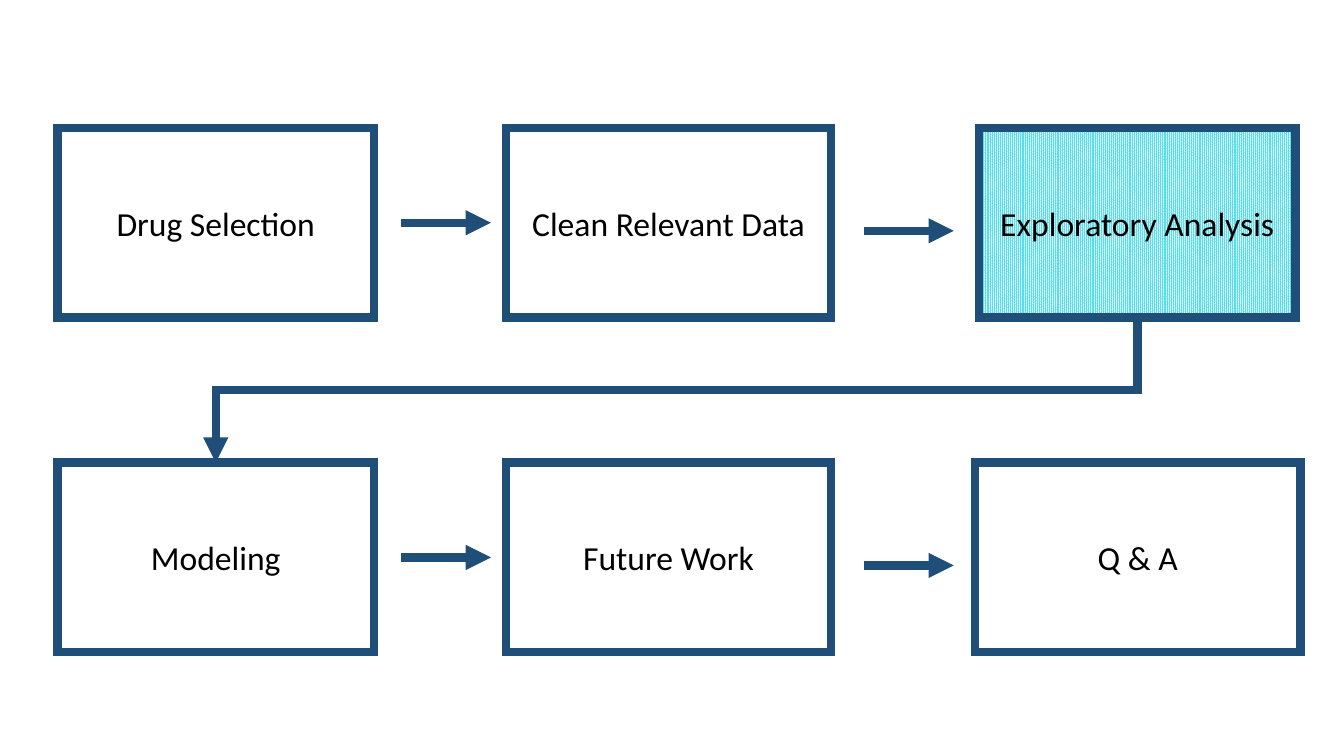
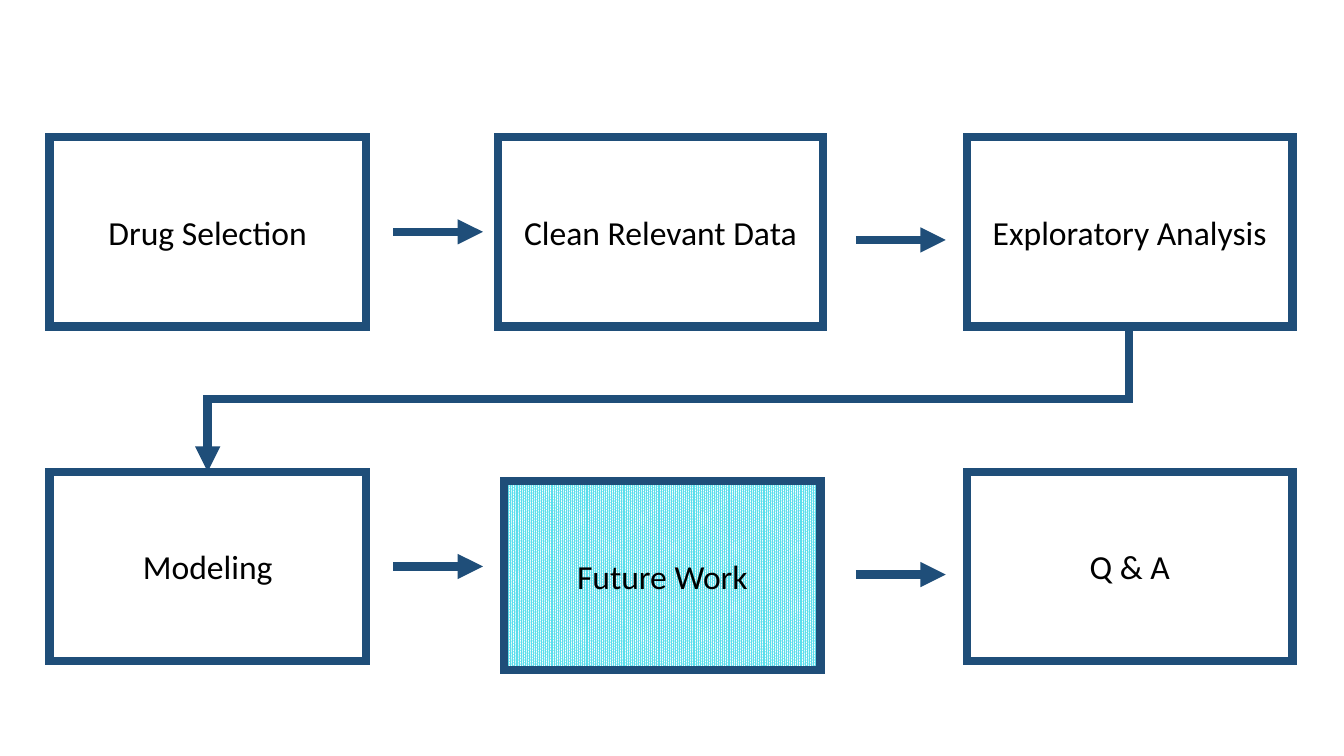
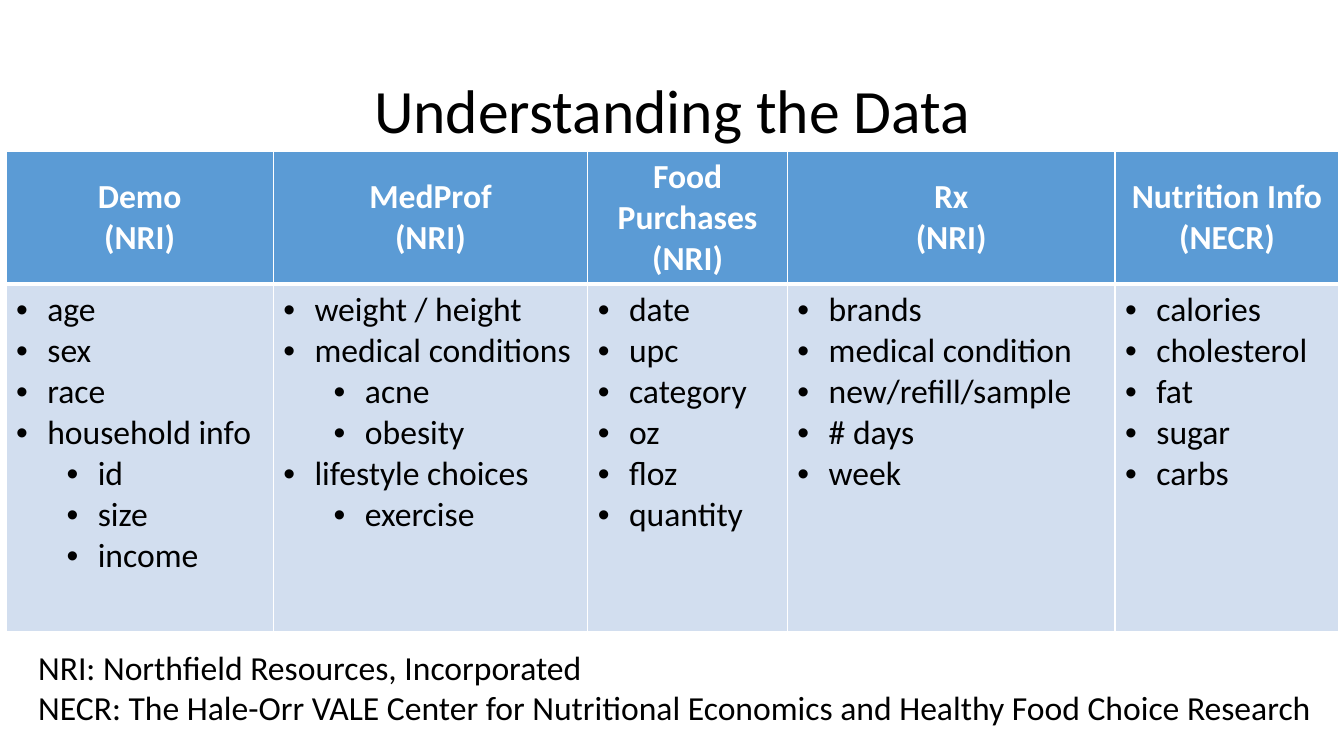
from lxml import etree
from pptx import Presentation
from pptx.dml.color import RGBColor
from pptx.enum.dml import MSO_PATTERN
from pptx.enum.shapes import MSO_CONNECTOR, MSO_SHAPE
from pptx.enum.text import MSO_ANCHOR, PP_ALIGN
from pptx.oxml.ns import qn
from pptx.util import Inches, Pt

RECTANGLE = MSO_SHAPE.RECTANGLE
STRAIGHT, ELBOW = MSO_CONNECTOR.STRAIGHT, MSO_CONNECTOR.ELBOW
CENTER, LEFT = PP_ALIGN.CENTER, PP_ALIGN.LEFT
TOP, MIDDLE = MSO_ANCHOR.TOP, MSO_ANCHOR.MIDDLE
DENSE_DOTS = MSO_PATTERN.PERCENT_90
TITLE_LAYOUT, BLANK_LAYOUT = 5, 6

COLORS = {
    "text": "000000",
    "white": "FFFFFF",
    "navy": "1F4E79",
    "cyan": "5ADEEC",
    "header": "5B9BD5",
    "body": "D2DEEF",
}
FONT = {"name": "Calibri", "size": Pt(24), "bold": False}

# Process steps, row by row
STEPS = [
    ["Drug Selection", "Clean Relevant Data", "Exploratory Analysis"],
    ["Modeling", "Future Work", "Q & A"],
]
COLUMN_OFFSETS = [0, 4.45, 9.1]
COLUMN_WIDTHS = [3.14, 3.22, 3.23]
ARROW_OFFSETS = [(3.41, 0.94), (8, 1.02)]
ARROW_LENGTH = 0.89
BOX_HEIGHT = 1.88
ROW_PITCH = 3.32

# Table columns: width, header lines, list items as (level, words)
DATA_COLUMNS = [
    (2.65, ["Demo", "(NRI)"],
     [(0, "age"), (0, "sex"), (0, "race"), (0, "household info"),
      (1, "id"), (1, "size"), (1, "income")]),
    (3.12, ["MedProf", "(NRI)"],
     [(0, "weight / height"), (0, "medical conditions"), (1, "acne"),
      (1, "obesity"), (0, "lifestyle choices"), (1, "exercise")]),
    (1.98, ["Food Purchases", "(NRI)"],
     [(0, "date"), (0, "upc"), (0, "category"), (0, "oz"), (0, "floz"),
      (0, "quantity")]),
    (3.25, ["Rx", "(NRI)"],
     [(0, "brands"), (0, "medical condition"), (0, "new/refill/sample"),
      (0, "# days"), (0, "week")]),
    (2.22, ["Nutrition Info", "(NECR)"],
     [(0, "calories"), (0, "cholesterol"), (0, "fat"), (0, "sugar"),
      (0, "carbs")]),
]
SOURCES = [
    "NRI: Northfield Resources, Incorporated",
    "NECR: The Hale-Orr VALE Center for Nutritional Economics and "
    "Healthy Food Choice Research",
]


def set_values(target, values):
    for name, value in values.items():
        setattr(target, name, value)


def rgb(color):
    return RGBColor.from_string(COLORS[color])


def add_xml(parent, tag, **attributes):
    return etree.SubElement(parent, qn(tag), attributes)


class Deck:
    """Shared style and the current slide."""

    def __init__(self):
        self.deck = Presentation()
        set_values(self.deck, {"slide_width": Inches(13.33),
                               "slide_height": Inches(7.5)})
        self.page = None

    def new_page(self, layout):
        self.page = self.deck.slides.add_slide(self.deck.slide_layouts[layout])

    def add_text(self, frame, lines, color="text", align=LEFT, **font):
        """Fill a text frame with one paragraph per line."""
        for index, line in enumerate(lines):
            para = frame.paragraphs[0] if index == 0 else frame.add_paragraph()
            para.alignment = align
            span = para.add_run()
            span.text = line
            set_values(span.font, {**FONT, **font})
            span.font.color.rgb = rgb(color)

    def stroke(self, shape):
        """Give a box or connector the thick navy line with sharp corners."""
        shape.line.color.rgb = rgb("navy")
        shape.line.width = Pt(6)
        line = shape._element.spPr.find(qn("a:ln"))
        add_xml(line, "a:miter", lim="800000")
        return line

    def title(self, words):
        box = self.page.shapes.title
        set_values(box, {"left": Inches(0.92), "top": Inches(0.4),
                         "width": Inches(11.5), "height": Inches(1.45)})
        box.text_frame.vertical_anchor = MIDDLE
        self.add_text(box.text_frame, [words], align=CENTER, size=Pt(44))
        box.text_frame.paragraphs[0].line_spacing = 0.9

    def step_box(self, left, top, width, words, active):
        box = self.page.shapes.add_shape(
            RECTANGLE, Inches(left), Inches(top), Inches(width),
            Inches(BOX_HEIGHT))
        box.shadow.inherit = False
        if active:
            box.fill.patterned()
            box.fill.pattern = DENSE_DOTS
            box.fill.fore_color.rgb = rgb("cyan")
            box.fill.back_color.rgb = rgb("white")
        else:
            box.fill.background()
        self.stroke(box)
        set_values(box.text_frame, {"word_wrap": True,
                                    "vertical_anchor": MIDDLE})
        self.add_text(box.text_frame, [words], align=CENTER)

    def arrow(self, kind, start, end):
        connector = self.page.shapes.add_connector(
            kind, *(Inches(value) for value in (*start, *end)))
        add_xml(self.stroke(connector), "a:tailEnd", type="triangle")
        add_xml(connector._element.spPr, "a:effectLst")
        return connector

    def elbow_arrow(self, start, end):
        """Go down, left and down again: an elbow turned by 90 degrees."""
        center_x, center_y = ((a + b) / 2 for a, b in zip(start, end))
        half_run, half_drop = (start[0] - end[0]) / 2, (end[1] - start[1]) / 2
        connector = self.arrow(
            ELBOW, (center_x - half_drop, center_y - half_run),
            (center_x + half_drop, center_y + half_run))
        connector._element.spPr.xfrm.set("rot", str(90 * 60000))

    def process(self, left, top, active, nudge):
        """Draw the six steps; the active one is shifted by nudge."""
        for row, names in enumerate(STEPS):
            row_top = top + row * ROW_PITCH
            for offset, width, name in zip(COLUMN_OFFSETS, COLUMN_WIDTHS, names):
                is_active = name == active
                shift_x, shift_y = nudge if is_active else (0, 0)
                self.step_box(left + offset + shift_x, row_top + shift_y,
                              COLUMN_WIDTHS[0] if is_active else width,
                              name, is_active)
            for offset_x, offset_y in ARROW_OFFSETS:
                x, y = left + offset_x, row_top + offset_y
                self.arrow(STRAIGHT, (x, y), (x + ARROW_LENGTH, y))
        self.elbow_arrow((left + 10.71, top + BOX_HEIGHT),
                         (left + COLUMN_WIDTHS[0] / 2, top + ROW_PITCH))

    def cell(self, cell, fill, anchor, borders):
        cell.vertical_anchor = anchor
        cell.fill.solid()
        cell.fill.fore_color.rgb = rgb(fill)
        properties = cell._tc.get_or_add_tcPr()
        for index, (side, width) in enumerate(zip("LRTB", borders)):
            line = etree.Element(qn(f"a:ln{side}"), {"w": str(Pt(width))})
            paint = add_xml(line, "a:solidFill")
            add_xml(paint, "a:srgbClr", val=COLORS["white"])
            properties.insert(index, line)

    def bullet(self, para, level):
        para.level = level
        properties = para._p.get_or_add_pPr()
        properties.set("marL", str(Inches(0.31 + 0.5 * level)))
        properties.set("indent", str(Inches(-0.31)))
        add_xml(properties, "a:buFont", typeface="Arial")
        add_xml(properties, "a:buChar", char="•")

    def data_table(self, left, top, row_heights, columns):
        width = sum(column[0] for column in columns)
        table = self.page.shapes.add_table(
            2, len(columns), Inches(left), Inches(top), Inches(width),
            Inches(sum(row_heights))).table
        for row, height in zip(table.rows, row_heights):
            row.height = Inches(height)
        for index, (width, heading, items) in enumerate(columns):
            table.columns[index].width = Inches(width)
            head, body = table.cell(0, index), table.cell(1, index)
            self.cell(head, "header", MIDDLE, (1, 1, 1, 3))
            self.add_text(head.text_frame, heading, "white", CENTER, bold=True)
            self.cell(body, "body", TOP, (1, 1, 3, 1))
            self.add_text(body.text_frame, [words for _, words in items])
            for para, (level, _) in zip(body.text_frame.paragraphs, items):
                self.bullet(para, level)

    def note(self, left, top, width, height, lines):
        box = self.page.shapes.add_textbox(
            *(Inches(value) for value in (left, top, width, height)))
        box.text_frame.word_wrap = False
        self.add_text(box.text_frame, lines)


def main():
    deck = Deck()

    # Process with one active step
    for left, top, active, nudge in [
        (0.57, 1.27, "Exploratory Analysis", (0.04, 0)),
        (0.49, 1.36, "Future Work", (0.06, 0.09)),
    ]:
        deck.new_page(BLANK_LAYOUT)
        deck.process(left, top, active, nudge)

    # Data overview
    deck.new_page(TITLE_LAYOUT)
    deck.title("Understanding the Data")
    deck.data_table(0.06, 1.5, [1.3, 3.45], DATA_COLUMNS)
    deck.note(0.28, 6.37, 13.19, 0.91, SOURCES)

    deck.deck.save("out.pptx")


if __name__ == "__main__":
    main()
